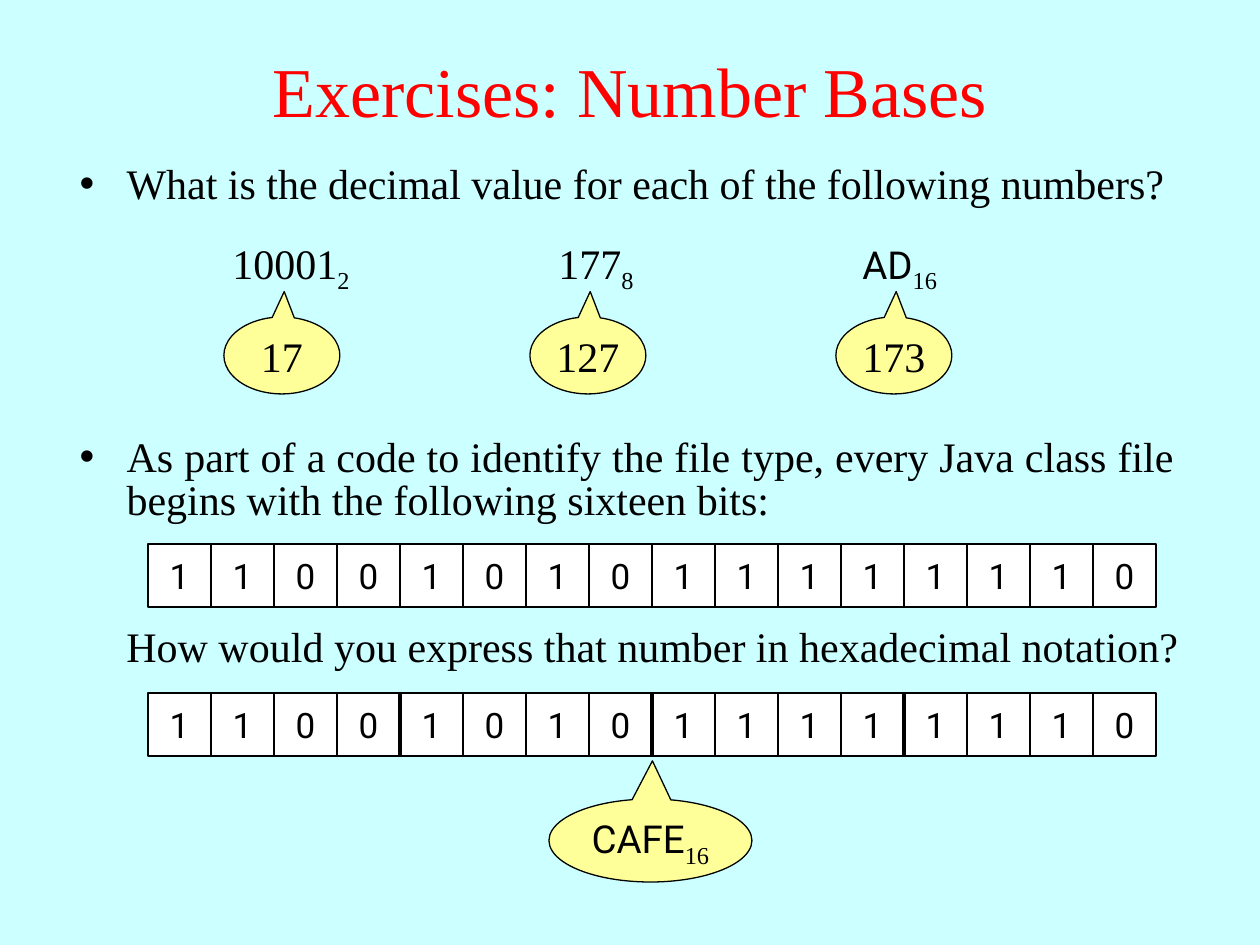
from lxml.etree import SubElement
from pptx import Presentation
from pptx.dml.color import RGBColor
from pptx.enum.shapes import MSO_CONNECTOR as Connector, MSO_SHAPE as Shape
from pptx.enum.text import MSO_ANCHOR as Anchor, MSO_AUTO_SIZE as AutoSize, PP_ALIGN as Align
from pptx.oxml.ns import qn
from pptx.util import Emu, Pt

# Content: a run is (text, font, size, is subscript)
SERIF, SANS = "Times New Roman", "Roboto"
COLORS = {"background": "CCFFFF", "title": "FF0000", "ink": "000000",
          "answer": "FFFF99", "bit": "FFFFFF"}
TITLE = "Exercises: Number Bases"
DECIMAL_QUESTION = "What is the decimal value for each of the following numbers?"
CLASS_FILE_QUESTION = ("As part of a code to identify the file type, every Java class file "
                       "begins with the following sixteen bits:")
HEX_QUESTION = "How would you express that number in hexadecimal notation?"
CONVERSIONS = [  # number, base, left and width of the number, answer
    (("10001", SERIF, 24, False), "2", 220, 220, "17"),
    (("177", SERIF, 24, False), "8", 546, 105, "127"),
    (("AD", SANS, 22, False), "16", 850, 126, "173"),
]
BITS = "1100101011111110"
HEX_ANSWER = [("CAFE", SANS, 22, False), ("16", SERIF, 24, True)]

# Layout in px
PX = 914400 // 126
BIT_LEFT, BIT_SIZE, BIT_ROWS = 148, 63, (544, 693)
ANSWER_LEFT, ANSWER_STEP = 224, 306
INDENT = 47


def px(*lengths):
    return [Emu(length * PX) for length in lengths]


def color(key):
    return RGBColor.from_string(COLORS[key])


def add_runs(paragraph, runs, ink="ink"):
    for text, font, size, subscript in runs:
        run = paragraph.add_run()
        run.text = text
        run.font.name, run.font.size = font, Pt(size)
        run.font.color.rgb = color(ink)
        if subscript:
            run.font._element.set("baseline", "-25000")


def place(box, left, top, width, height):
    box.left, box.top, box.width, box.height = px(left, top, width, height)
    box.text_frame.word_wrap = True
    box.text_frame.auto_size = AutoSize.NONE


def write_question(box, text, bullet=True):
    box.text_frame.vertical_anchor = Anchor.TOP
    paragraph = box.text_frame.paragraphs[0]
    paragraph.alignment = Align.JUSTIFY
    paragraph.line_spacing = 0.85
    paragraph.space_before = Pt(0)
    properties = paragraph._p.get_or_add_pPr()
    properties.set("marL", str(INDENT * PX))
    properties.set("indent", str(-INDENT * PX if bullet else 0))
    if bullet:
        SubElement(properties, qn("a:buChar")).set("char", "•")
    add_runs(paragraph, [(text, SERIF, 24, False)])


def add_filled(kind, box, fill, runs):
    shape = slide.shapes.add_shape(kind, *px(*box))
    shape.shadow.inherit = False
    shape.fill.solid()
    shape.fill.fore_color.rgb = color(fill)
    shape.line.color.rgb = color("ink")
    shape.line.width = Pt(0.75)
    frame = shape.text_frame
    frame.word_wrap = False
    frame.vertical_anchor = Anchor.MIDDLE
    frame.paragraphs[0].alignment = Align.CENTER
    add_runs(frame.paragraphs[0], runs)
    return shape


def add_answer(box, tip, runs):
    callout = add_filled(Shape.OVAL_CALLOUT, box, "answer", runs)
    callout.adjustments[0], callout.adjustments[1] = tip


prs = Presentation()
prs.slide_width, prs.slide_height = px(1260, 945)
slide = prs.slides.add_slide(prs.slide_layouts[3])
slide.background.fill.solid()
slide.background.fill.fore_color.rgb = color("background")

# Title and questions
title, decimal_question, class_file_question = slide.placeholders
place(title, 0, 10, 1260, 158)
title.text_frame.vertical_anchor = Anchor.MIDDLE
title.text_frame.paragraphs[0].alignment = Align.CENTER
add_runs(title.text_frame.paragraphs[0], [(TITLE, SERIF, 40, False)], "title")

place(decimal_question, 67, 159, 1120, 62)
write_question(decimal_question, DECIMAL_QUESTION)
place(class_file_question, 67, 432, 1120, 108)
write_question(class_file_question, CLASS_FILE_QUESTION)
hex_question = slide.shapes.add_textbox(0, 0, 0, 0)
place(hex_question, 67, 622, 1125, 108)
write_question(hex_question, HEX_QUESTION, bullet=False)

# Numbers with their decimal answers
for i, (number, base, left, width, answer) in enumerate(CONVERSIONS):
    label = slide.shapes.add_textbox(0, 0, 0, 0)
    place(label, left, 231, width, 63)
    add_runs(label.text_frame.paragraphs[0], [number, (base, SERIF, 24, True)])
    add_answer((ANSWER_LEFT + i * ANSWER_STEP, 317, 116, 77), (0.02, -0.83),
               [(answer, SERIF, 24, False)])

# Hexadecimal answer
add_answer((549, 799, 203, 83), (0.01, -0.96), HEX_ANSWER)

# Both rows of bits
for top in BIT_ROWS:
    for i, bit in enumerate(BITS):
        add_filled(Shape.RECTANGLE, (BIT_LEFT + i * BIT_SIZE, top, BIT_SIZE, BIT_SIZE),
                   "bit", [(bit, SANS, 20, False)])

# Dividers between groups of four bits
for i in range(4, len(BITS), 4):
    x, top = BIT_LEFT + i * BIT_SIZE, BIT_ROWS[1]
    divider = slide.shapes.add_connector(Connector.STRAIGHT, *px(x, top, x, top + BIT_SIZE + 1))
    divider.line.color.rgb = color("ink")
    divider.line.width = Pt(1.75)
    SubElement(divider._element.spPr, qn("a:effectLst"))

prs.save("out.pptx")
